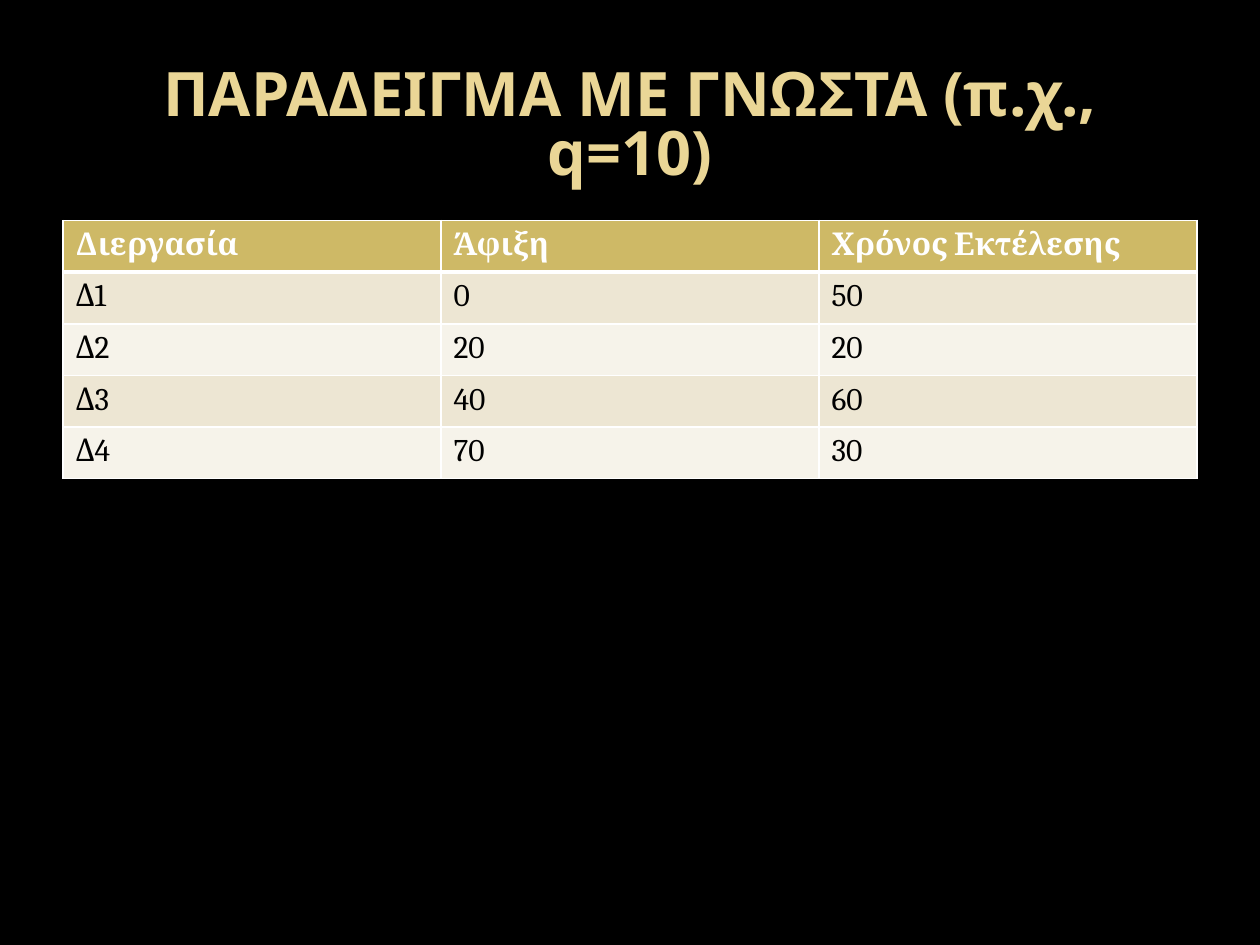
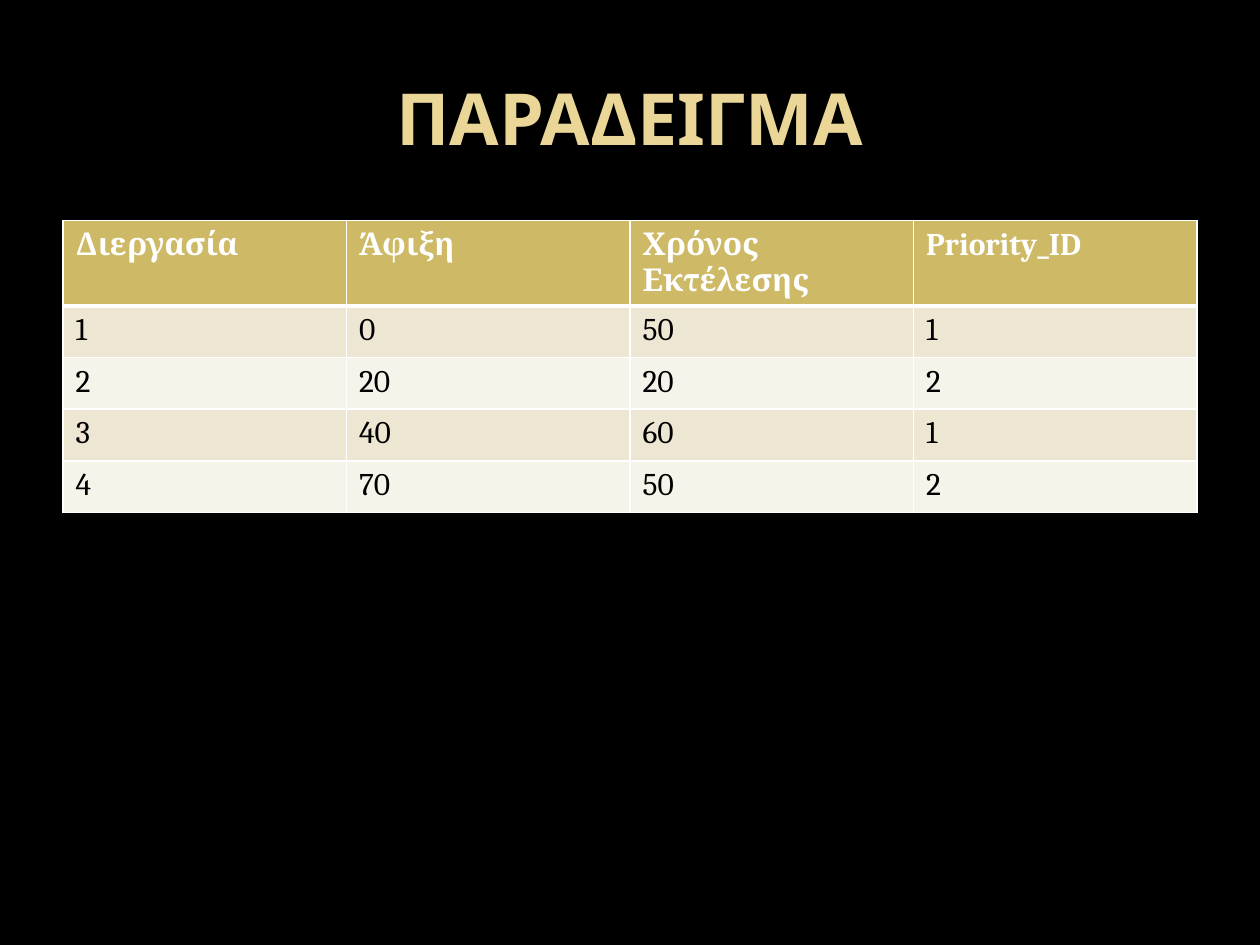
from dataclasses import dataclass

from lxml import etree
from pptx import Presentation
from pptx import util as u
from pptx.dml.color import RGBColor
from pptx.enum import text
from pptx.oxml.ns import qn

# Content: title, title scale in percent, table rows with the header first
SLIDES = [
    ("ΠΑΡΑΔΕΙΓΜΑ ΜΕ ΓΝΩΣΤΑ (π.χ., q=10)", 90, [
        ("Διεργασία", "Άφιξη", "Χρόνος Εκτέλεσης"),
        ("Δ1", "0", "50"),
        ("Δ2", "20", "20"),
        ("Δ3", "40", "60"),
        ("Δ4", "70", "30"),
    ]),
    ("ΠΑΡΑΔΕΙΓΜΑ", 100, [
        ("Διεργασία", "Άφιξη", "Χρόνος Εκτέλεσης", "Priority_ID"),
        ("1", "0", "50", "1"),
        ("2", "20", "20", "2"),
        ("3", "40", "60", "1"),
        ("4", "70", "50", "2"),
    ]),
]


@dataclass(frozen=True)
class Theme:
    background: str = "000000"
    title: str = "EAD696"
    header: str = "CEB966"
    header_text: str = "FFFFFF"
    bands: tuple = ("EDE6D3", "F6F3EA")
    body_text: str = "000000"
    border: str = "FFFFFF"
    title_font: str = "Noto Sans"
    table_font: str = "Cambria"
    title_size: float = 41
    table_size: float = 18
    thin: float = 1
    thick: float = 3


THEME = Theme()

# Layout in inches
WIDTH, HEIGHT = 10, 7.5
MARGIN = WIDTH / 20
CONTENT_WIDTH = WIDTH - 2 * MARGIN
TITLE_TOP, TITLE_HEIGHT = 0.3, 1.25
TABLE_TOP, ROW_HEIGHT = 1.75, 0.41


def add_run(para, words, font, size, color, bold):
    span = para.add_run()
    span.text = words
    span.font.name = font
    span.font.size = u.Pt(size)
    span.font.bold = bold
    span.font.color.rgb = RGBColor.from_string(color)


def add_title(page, words, scale):
    box = page.shapes.title
    box.left, box.top = u.Inches(MARGIN), u.Inches(TITLE_TOP)
    box.width, box.height = u.Inches(CONTENT_WIDTH), u.Inches(TITLE_HEIGHT)
    frame = box.text_frame
    frame.word_wrap = True
    frame.vertical_anchor = text.MSO_ANCHOR.MIDDLE
    frame.auto_size = text.MSO_AUTO_SIZE.TEXT_TO_FIT_SHAPE
    if scale < 100:
        fit = box.element.find(".//" + qn("a:normAutofit"))
        fit.set("fontScale", str(scale * 1000))
    para = frame.paragraphs[0]
    para.alignment = text.PP_ALIGN.CENTER
    add_run(para, words, THEME.title_font, THEME.title_size, THEME.title, True)


def add_borders(cell, row):
    # Border lines must come before the fill, in the order L, R, T, B
    props = cell._tc.get_or_add_tcPr()
    widths = {"L": THEME.thin, "R": THEME.thin,
              "T": THEME.thick if row == 1 else THEME.thin,
              "B": THEME.thick if row == 0 else THEME.thin}
    for place, (side, width) in enumerate(widths.items()):
        line = etree.Element(qn(f"a:ln{side}"), w=str(u.Pt(width)))
        fill = etree.SubElement(line, qn("a:solidFill"))
        etree.SubElement(fill, qn("a:srgbClr"), val=THEME.border)
        props.insert(place, line)


def add_process_table(page, rows):
    columns = len(rows[0])
    table = page.shapes.add_table(
        len(rows), columns, u.Inches(MARGIN), u.Inches(TABLE_TOP),
        u.Inches(CONTENT_WIDTH), u.Inches(ROW_HEIGHT * len(rows))).table
    for column in table.columns:
        column.width = u.Inches(CONTENT_WIDTH / columns)
    for r, values in enumerate(rows):
        table.rows[r].height = u.Inches(ROW_HEIGHT)
        header = r == 0
        band = THEME.header if header else THEME.bands[(r - 1) % 2]
        color = THEME.header_text if header else THEME.body_text
        for c, value in enumerate(values):
            cell = table.cell(r, c)
            cell.fill.solid()
            cell.fill.fore_color.rgb = RGBColor.from_string(band)
            add_borders(cell, r)
            add_run(cell.text_frame.paragraphs[0], value, THEME.table_font,
                    THEME.table_size, color, header)


def main():
    deck = Presentation()
    deck.slide_width, deck.slide_height = u.Inches(WIDTH), u.Inches(HEIGHT)

    # Shared background
    backdrop = deck.slide_master.background.fill
    backdrop.solid()
    backdrop.fore_color.rgb = RGBColor.from_string(THEME.background)

    title_only = deck.slide_layouts[5]
    for title, scale, rows in SLIDES:
        page = deck.slides.add_slide(title_only)
        add_title(page, title, scale)
        add_process_table(page, rows)
    deck.save("out.pptx")


if __name__ == "__main__":
    main()
